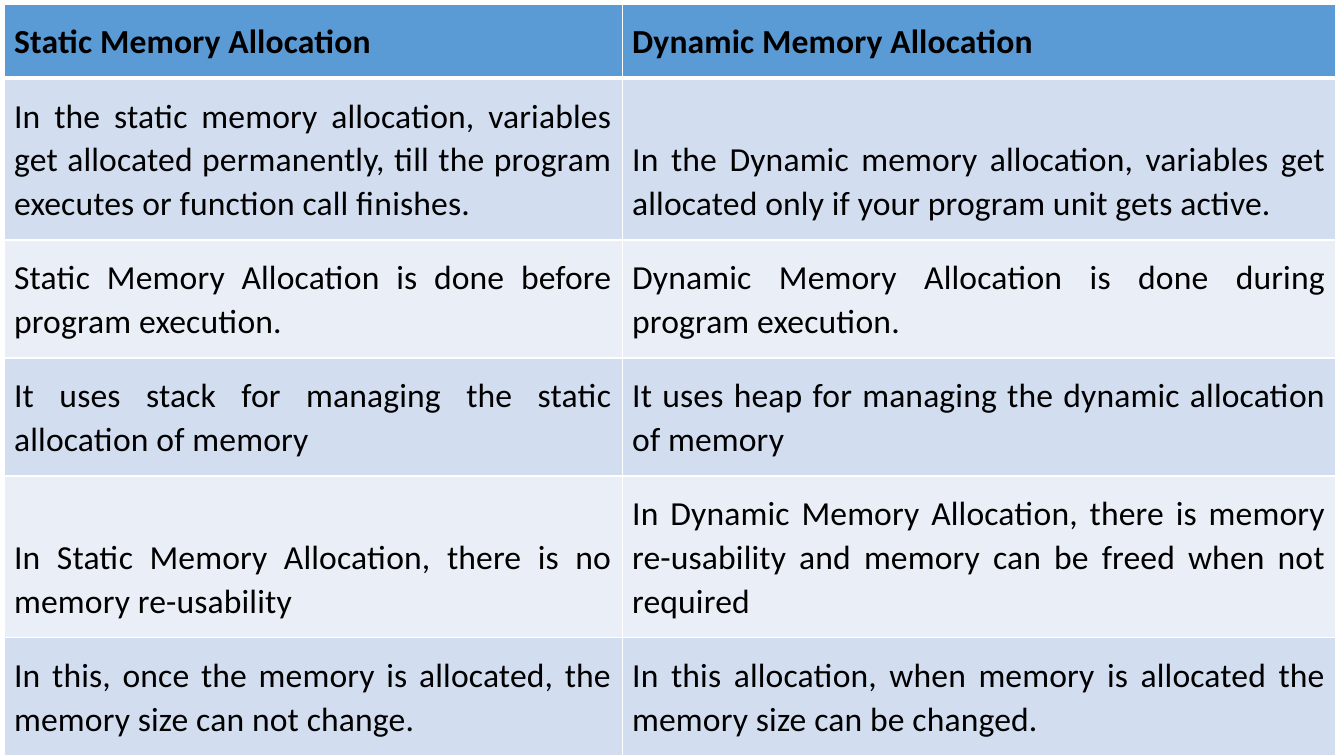
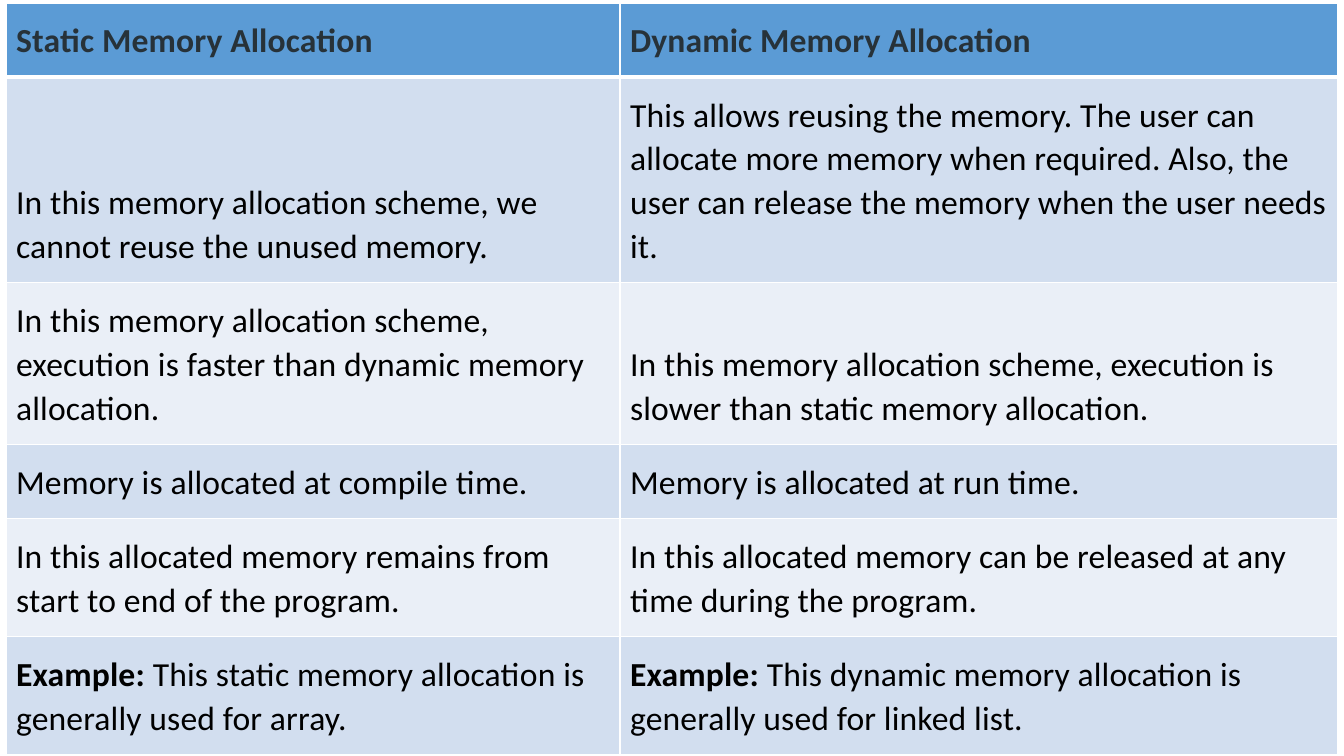
import lxml.etree
import pptx
import pptx.dml.color
import pptx.enum.text
import pptx.oxml
import pptx.oxml.ns
import pptx.util

PX = 9144  # EMU per px, 100 px to the inch
FONT, SIZE, LEADING = "Calibri", 24, 1.07
HEADER_FILL, BAND_FILLS = "5B9BD5", ("D2DEEF", "EAEFF7")
BORDER, BLACK, SLATE = "FFFFFF", "000000", "273239"
INSET_X, INSET_Y = 10, 15
LINE_HEIGHT, ROW_PADDING = 44, 28
LEFT = pptx.enum.text.PP_ALIGN.LEFT
JUSTIFY = pptx.enum.text.PP_ALIGN.JUSTIFY

HEADINGS = ("Static Memory Allocation", "Dynamic Memory Allocation")

# Each row: number of text lines, left cell, right cell
BASICS = [
    (3, "In the static memory allocation, variables get allocated permanently, "
        "till the program executes or function call finishes.",
     "In the Dynamic memory allocation, variables get allocated only if your "
     "program unit gets active."),
    (2, "Static Memory Allocation is done before program execution.",
     "Dynamic Memory Allocation is done during program execution."),
    (2, "It uses stack for managing the static allocation of memory",
     "It uses heap for managing the dynamic allocation of memory"),
    (3, "In Static Memory Allocation, there is no memory re-usability",
     "In Dynamic Memory Allocation, there is memory re-usability and memory "
     "can be freed when not required"),
    (2, "In this, once the memory is allocated, the memory size can not change.",
     "In this allocation, when memory is allocated the memory size can be changed."),
]
REUSE = [
    (4, "In this memory allocation scheme, we cannot reuse the unused memory.",
     "This allows reusing the memory. The user can allocate more memory when "
     "required. Also, the user can release the memory when the user needs it."),
    (3, "In this memory allocation scheme, execution is faster than dynamic "
        "memory allocation.",
     "In this memory allocation scheme, execution is slower than static "
     "memory allocation."),
    (1, "Memory is allocated at compile time.", "Memory is allocated at run time."),
    (2, "In this allocated memory remains from start to end of the program.",
     "In this allocated memory can be released at any time during the program."),
    (2, ("Example:", " This static memory allocation is generally used for array."),
     ("Example:", " This dynamic memory allocation is generally used for linked list.")),
]


def px(n):
    return pptx.util.Emu(n * PX)


def rgb(color):
    return pptx.dml.color.RGBColor.from_string(color)


def add_text(p, text, color=BLACK, bold=False):
    r = p.add_run()
    r.text = text
    r.font.name, r.font.size, r.font.bold = FONT, pptx.util.Pt(SIZE), bold
    r.font.color.rgb = rgb(color)
    r._r.get_or_add_rPr().set("spc", "10")


def set_borders(cell, bottom):
    """White lines, 1 pt apart from the bottom one."""
    tc_pr = cell._tc.get_or_add_tcPr()
    for side, width in (("L", 1), ("R", 1), ("T", 1), ("B", bottom)):
        tc_pr.append(pptx.oxml.parse_xml(
            f'<a:ln{side} {pptx.oxml.ns.nsdecls("a")} w="{pptx.util.Pt(width)}">'
            f'<a:solidFill><a:srgbClr val="{BORDER}"/></a:solidFill></a:ln{side}>'))


def fill_cell(cell, content, fill, align=LEFT, color=BLACK, bold=False, bottom=1):
    """content is a string, or a (bold lead, rest) pair."""
    set_borders(cell, bottom)
    cell.fill.solid()
    cell.fill.fore_color.rgb = rgb(fill)
    cell.vertical_anchor = pptx.enum.text.MSO_ANCHOR.BOTTOM
    cell.margin_left = cell.margin_right = px(INSET_X)
    cell.margin_top = cell.margin_bottom = px(INSET_Y)
    p = cell.text_frame.paragraphs[0]
    p.alignment, p.line_spacing = align, LEADING
    if isinstance(content, tuple):
        lead, content = content
        add_text(p, lead, color, bold=True)
    add_text(p, content, color, bold)


def comparison_slide(prs, rows, left, top, widths, align, heading_color):
    s = prs.slides.add_slide(prs.slide_layouts[6])
    heights = [ROW_PADDING + LINE_HEIGHT * n for n in [1] + [row[0] for row in rows]]
    table = s.shapes.add_table(len(heights), len(widths), px(left), px(top),
                               px(sum(widths)), px(sum(heights))).table
    for column, width in zip(table.columns, widths):
        column.width = px(width)
    for row, height in zip(table.rows, heights):
        row.height = px(height)

    # Header row
    for c, heading in enumerate(HEADINGS):
        fill_cell(table.cell(0, c), heading, HEADER_FILL,
                  color=heading_color, bold=True, bottom=3)

    # Banded body rows
    for i, (_, *contents) in enumerate(rows):
        for c, content in enumerate(contents):
            fill_cell(table.cell(i + 1, c), content, BAND_FILLS[i % 2], align)


def main():
    prs = pptx.Presentation()
    prs.slide_width, prs.slide_height = px(1333), px(750)
    comparison_slide(prs, BASICS, 4, 4, (613, 708), JUSTIFY, BLACK)
    comparison_slide(prs, REUSE, 6, 3, (609, 712), LEFT, SLATE)
    prs.save("out.pptx")


if __name__ == "__main__":
    main()
